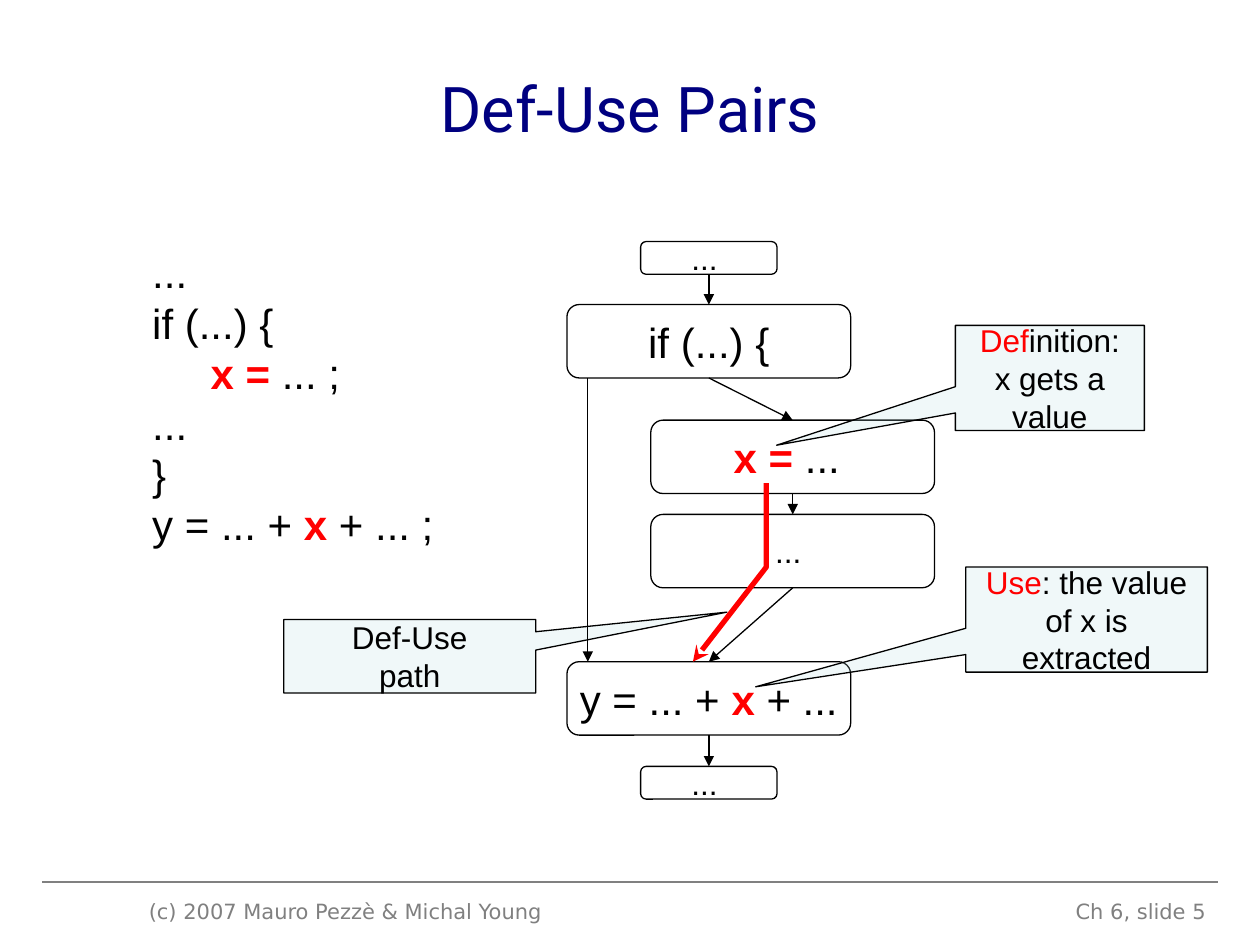
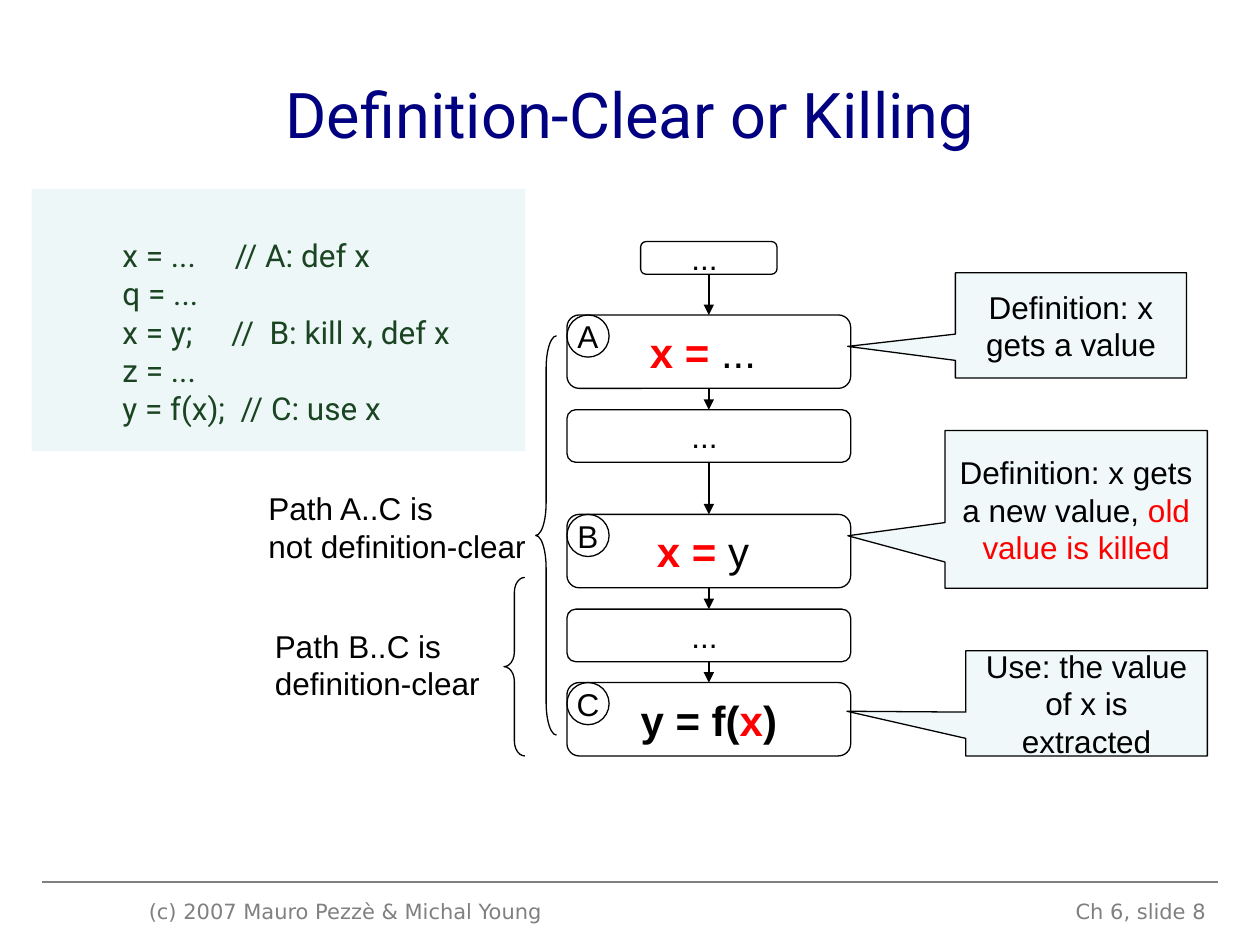
from dataclasses import dataclass

from lxml import etree
from pptx import Presentation
from pptx.dml.color import RGBColor
from pptx.enum import shapes, text
from pptx.oxml.ns import qn
from pptx.util import Cm, Pt


@dataclass(frozen=True)
class Theme:
    navy: str = "000080"
    black: str = "000000"
    red: str = "FF0000"
    gray: str = "808080"
    green: str = "1A4422"
    pale: str = "BBE0E3"
    title_font: str = "Roboto"
    body_font: str = "Arial"
    footer_font: str = "DejaVu Sans"
    title_size: int = 36
    code_size: int = 24
    label_size: int = 18
    footer_size: int = 12
    line_width: float = 0.75
    path_width: float = 3
    line_height: float = 1.2


theme = Theme()
LEFT, CENTER, RIGHT = text.PP_ALIGN.LEFT, text.PP_ALIGN.CENTER, text.PP_ALIGN.RIGHT
TOP, MIDDLE, BOTTOM = text.MSO_ANCHOR.TOP, text.MSO_ANCHOR.MIDDLE, text.MSO_ANCHOR.BOTTOM
PRESET = shapes.MSO_SHAPE


def write(shape, lines, size, align=LEFT, anchor=MIDDLE, wrap=True,
          font=theme.body_font, color=theme.black, spacing=None):
    """Fill a shape with lines; a line is a string or a list of (text, style) runs."""
    frame = shape.text_frame
    frame.word_wrap = wrap
    frame.auto_size = text.MSO_AUTO_SIZE.NONE
    frame.vertical_anchor = anchor
    for index, line in enumerate(lines):
        paragraph = frame.paragraphs[0] if index == 0 else frame.add_paragraph()
        paragraph.alignment = align
        if spacing:
            paragraph.line_spacing = spacing
        for words, style in [(line, "")] if isinstance(line, str) else line:
            run = paragraph.add_run()
            run.text = words
            run.font.name = font
            run.font.size = Pt(size)
            run.font.bold = "bold" in style
            run.font.color.rgb = RGBColor.from_string(theme.red if "red" in style else color)


def add_line(slide, start, end, color=theme.black, arrow=True):
    line = slide.shapes.add_connector(shapes.MSO_CONNECTOR.STRAIGHT,
                                      *(Cm(value) for value in (*start, *end)))
    line.line.color.rgb = RGBColor.from_string(color)
    line.line.width = Pt(theme.line_width)
    etree.SubElement(line._element.spPr, qn("a:effectLst"))
    if arrow:
        etree.SubElement(line.line._get_or_add_ln(), qn("a:tailEnd"), type="triangle")


presentation = Presentation()
presentation.slide_width, presentation.slide_height = Cm(25.4), Cm(19.05)

# Flow graph nodes: centre, top, kind, label. Each leads to the next one.
NODE_SIZES = {"dots": (2.75, 0.66), "step": (5.72, 1.06), "code": (5.72, 1.48)}
MAIN, BRANCH = 14.29, 15.98
ASSIGN_X = [("x = ", "red bold"), ("... ", "")]

slides = [
    {
        "title": "Def-Use Pairs", "title_top": 0.64, "number": 5,
        "nodes": [
            (MAIN, 4.87, "dots", "... "),
            (MAIN, 6.14, "code", "if (...) {"),
            (BRANCH, 8.47, "code", ASSIGN_X),
            (BRANCH, 10.37, "code", "... "),
            (MAIN, 13.34, "code", [("y = ... + ", ""), ("x", "red bold"), (" + ...", "")]),
            (MAIN, 15.45, "dots", "... "),
        ],
        "badges": [],
        "callouts": [
            ((19.26, 6.56, 3.81, 2.12), (-1.446, 0.64),
             [[("Def", "red"), ("inition: x gets a value", "")]]),
            ((19.47, 11.43, 4.87, 2.12), (-1.37, 0.64),
             [[("Use", "red"), (": the value of x is extracted", "")]]),
            ((5.72, 12.49, 5.08, 1.48), (1.259, -0.601), ["Def-Use", "path"]),
        ],
        "notes": [
            ((2.82, 4.85, 7.75, 6.35), theme.code_size, [
                "...",
                "if (...) {",
                [("     ", ""), ("x = ", "red bold"), ("... ;", "")],
                "...",
                "}",
                [("y = ... + ", ""), ("x", "red bold"), (" + ... ;", "")],
            ]),
        ],
        "braces": [],
    },
    {
        "title": "Definition-Clear or Killing", "title_top": 0.76, "number": 8,
        "nodes": [
            (MAIN, 4.87, "dots", "... "),
            (MAIN, 6.35, "code", ASSIGN_X),
            (MAIN, 8.26, "step", "... "),
            (MAIN, 10.37, "code", [("x = ", "red bold"), ("y ", "")]),
            (MAIN, 12.28, "step", "... "),
            (MAIN, 13.76, "code", [("y = f(", "bold"), ("x", "red bold"), (")", "bold")]),
        ],
        "badges": [("A", 6.35), ("B", 10.37), ("C", 13.76)],
        "callouts": [
            ((19.26, 5.5, 4.66, 2.12), (-0.966, 0.2), ["Definition: x gets a value"]),
            ((19.05, 8.68, 5.29, 3.18), (-0.87, 0.167),
             [[("Definition: x gets a new value, ", ""), ("old value is killed", "red")]]),
            ((19.47, 13.12, 4.87, 2.12), (-0.992, 0.075), ["Use: the value of x is extracted"]),
        ],
        "notes": [
            ((5.16, 9.73, 6, 1.78), theme.label_size, ["Path A..C is", "not definition-clear"]),
            ((5.29, 12.5, 4.8, 1.78), theme.label_size, ["Path B..C is", "definition-clear"]),
        ],
        "braces": [((10.8, 6.77, 0.42, 8.05), 1.56), ((10.16, 11.64, 0.42, 3.6), 0.71)],
    },
]

for content in slides:
    slide = presentation.slides.add_slide(presentation.slide_layouts[5])
    content["slide"] = slide

    title = slide.shapes.title
    title.left, title.top = Cm(1.27), Cm(content["title_top"])
    title.width, title.height = Cm(22.86), Cm(3.05)
    write(title, [content["title"]], theme.title_size, CENTER,
          font=theme.title_font, color=theme.navy)

    add_line(slide, (0.85, 17.78), (24.55, 17.78), theme.gray, arrow=False)
    for left, width, align, words in [
        (2.75, 8.89, LEFT, "(c) 2007 Mauro Pezzè & Michal Young"),
        (18.63, 5.93, RIGHT, f"Ch 6, slide {content['number']}"),
    ]:
        footer = slide.shapes.add_textbox(Cm(left), Cm(17.99), Cm(width), Cm(0.69))
        write(footer, [words], theme.footer_size, align, TOP,
              font=theme.footer_font, color=theme.gray)

    for box, size, lines in content["notes"]:
        note = slide.shapes.add_textbox(*(Cm(value) for value in box))
        write(note, lines, size, anchor=BOTTOM, spacing=Pt(size * theme.line_height))

    # Outlined shapes: preset, box, adjustments, text size, lines
    outlined = []
    for center, top, kind, label in content["nodes"]:
        width, height = NODE_SIZES[kind]
        size = theme.label_size if label == "... " else theme.code_size
        outlined.append((PRESET.ROUNDED_RECTANGLE, (center - width / 2, top, width, height),
                         [0.167], size, [label]))
    for letter, top in content["badges"]:
        outlined.append((PRESET.OVAL, (11.43, top, 0.85, 0.85), [], theme.label_size, [letter]))
    for box, pointer, lines in content["callouts"]:
        outlined.append((PRESET.RECTANGULAR_CALLOUT, box, pointer, theme.label_size, lines))
    for box, curve in content["braces"]:
        outlined.append((PRESET.LEFT_BRACE, box, [curve], theme.label_size, []))

    for preset, box, adjustments, size, lines in outlined:
        shape = slide.shapes.add_shape(preset, *(Cm(value) for value in box))
        for index, value in enumerate(adjustments):
            shape.adjustments[index] = value
        shape.shadow.inherit = False
        shape.line.color.rgb = RGBColor.from_string(theme.black)
        shape.line.width = Pt(theme.line_width)
        is_callout = preset == PRESET.RECTANGULAR_CALLOUT
        if is_callout:
            shape.fill.solid()
            shape.fill.fore_color.rgb = RGBColor.from_string(theme.pale)
            tint = shape._element.spPr.find(qn("a:solidFill"))[0]
            etree.SubElement(tint, qn("a:alpha"), val="21000")
        else:
            shape.fill.background()
        write(shape, lines, size, CENTER, wrap=is_callout, spacing=Pt(size * theme.line_height))

    nodes = content["nodes"]
    for (center, top, kind, _), (next_center, next_top, _, _) in zip(nodes, nodes[1:]):
        add_line(slide, (center, top + NODE_SIZES[kind][1]), (next_center, next_top))

# Def-use pairs: the branch that skips the definition, and the def-use path
pairs_slide = slides[0]["slide"]
add_line(pairs_slide, (11.85, 7.62), (11.85, 13.34))
builder = pairs_slide.shapes.build_freeform(Cm(15.45), Cm(9.74))
builder.add_line_segments([(Cm(15.45), Cm(11.43)), (Cm(13.97), Cm(13.34))], close=False)
def_use_path = builder.convert_to_shape()
def_use_path.shadow.inherit = False
def_use_path.fill.background()
def_use_path.line.color.rgb = RGBColor.from_string(theme.red)
def_use_path.line.width = Pt(theme.path_width)
etree.SubElement(def_use_path.line._get_or_add_ln(), qn("a:tailEnd"), type="stealth")

# Definition-clear or killing: the listing behind the graph
killing_slide = slides[1]["slide"]
listing = killing_slide.shapes.add_shape(PRESET.RECTANGLE, Cm(0.64), Cm(3.81), Cm(9.95), Cm(5.29))
listing.shadow.inherit = False
listing.line.fill.background()
listing.fill.solid()
listing.fill.fore_color.rgb = RGBColor.from_string(theme.pale)
tint = listing._element.spPr.find(qn("a:solidFill"))[0]
etree.SubElement(tint, qn("a:alpha"), val="25000")
write(listing, [
    "x = ...     // A: def x",
    "q = ...",
    "x = y;     //  B: kill x, def x",
    "z = ...",
    "y = f(x);  // C: use x",
], theme.label_size, anchor=TOP, font=theme.title_font, color=theme.green, spacing=0.8)
listing.text_frame.margin_left = Cm(1.83)
listing.text_frame.margin_top = Cm(1.1)
for paragraph in listing.text_frame.paragraphs[1:]:
    paragraph.space_before = Pt(4.5)

presentation.save("out.pptx")
